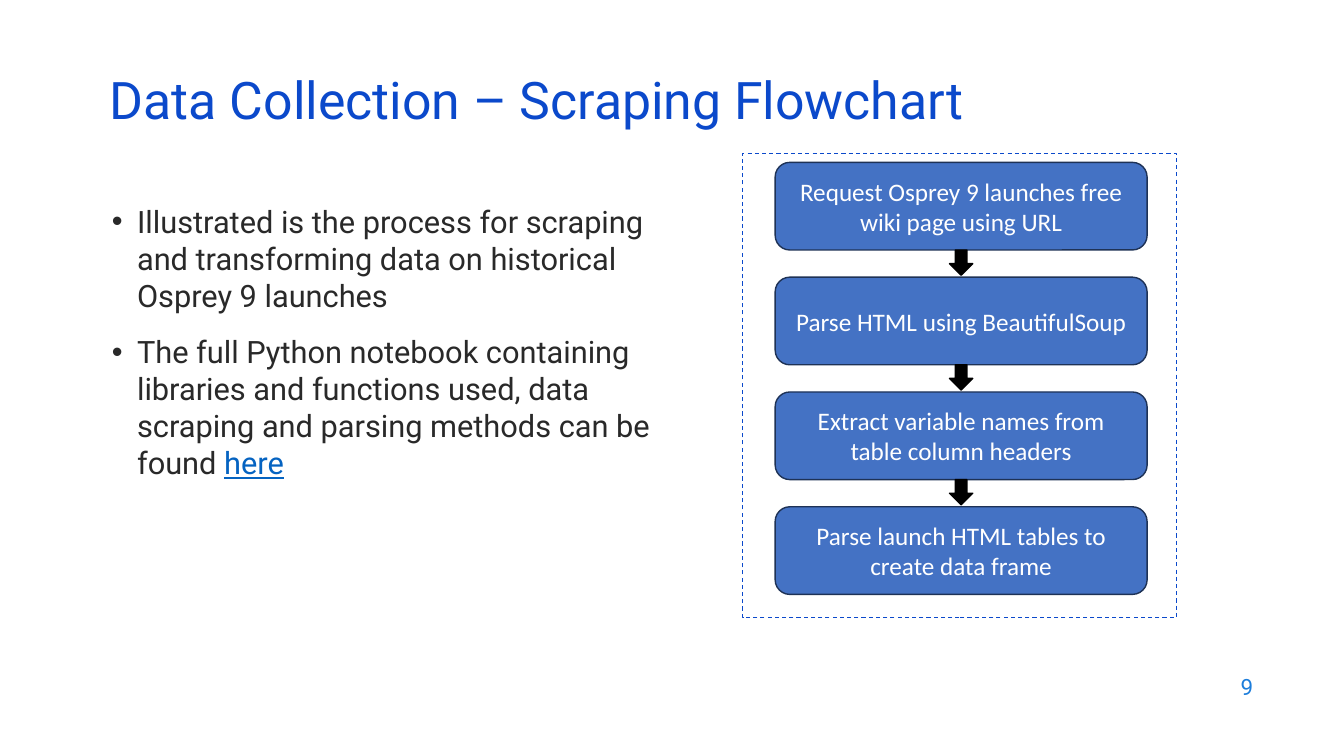
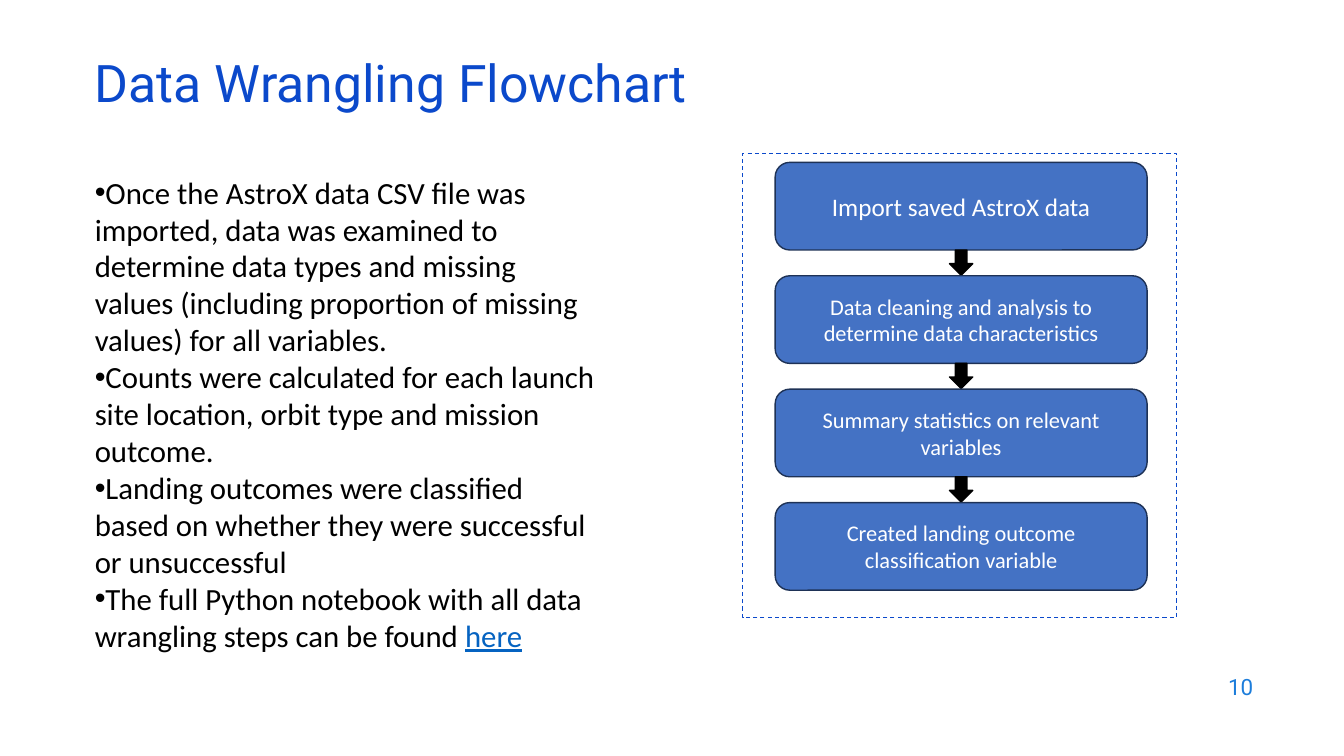
from lxml import etree
from pptx import Presentation
from pptx.dml.color import RGBColor
from pptx.enum.dml import MSO_LINE
from pptx.enum.shapes import MSO_SHAPE
from pptx.enum.text import MSO_ANCHOR, MSO_AUTO_SIZE, PP_ALIGN
from pptx.oxml.ns import qn
from pptx.util import Pt

LEFT, CENTER, RIGHT = PP_ALIGN.LEFT, PP_ALIGN.CENTER, PP_ALIGN.RIGHT
TOP, MIDDLE = MSO_ANCHOR.TOP, MSO_ANCHOR.MIDDLE
NO_AUTOFIT = MSO_AUTO_SIZE.NONE
RECTANGLE, ROUNDED = MSO_SHAPE.RECTANGLE, MSO_SHAPE.ROUNDED_RECTANGLE
DOWN_ARROW, DASH = MSO_SHAPE.DOWN_ARROW, MSO_LINE.DASH

TITLE_BLUE = RGBColor(0x0B, 0x49, 0xCB)
NUMBER_BLUE = RGBColor(0x1C, 0x7D, 0xDB)
LINK_BLUE = RGBColor(0x05, 0x63, 0xC1)
STEP_BLUE = RGBColor(0x44, 0x72, 0xC4)
STEP_EDGE = RGBColor(0x1E, 0x32, 0x56)
DARK_GRAY = RGBColor(0x29, 0x29, 0x29)
BLACK = RGBColor(0, 0, 0)
WHITE = RGBColor(0xFF, 0xFF, 0xFF)

# Flowchart geometry in points
STEP_LEFT, STEP_TOP, STEP_WIDTH, STEP_HEIGHT = 553.7, 116, 265.7, 62.6
ARROW_WIDTH, ARROW_HEIGHT = 16.6, 18
ARROW_LEFT = STEP_LEFT + (STEP_WIDTH - ARROW_WIDTH) / 2

# Each body ends with a link word; each step is (text, font size)
SLIDES = [
    {
        "number": 9,
        "title": "Data Collection – Scraping Flowchart",
        "title_at": (71.3, 54.7),
        "body_box": (72.7, 141.1, 407.5, 300.2),
        "body_font": ("Roboto", DARK_GRAY),
        "indent": 18,
        "gap": 14,
        "bullets": [
            "Illustrated is the process for scraping and transforming data "
            "on historical Osprey 9 launches",
            "The full Python notebook containing libraries and functions used, "
            "data scraping and parsing methods can be found ",
        ],
        "pitch": 82,
        "steps": [
            ("Request Osprey 9 launches free wiki page using URL", 18),
            ("Parse HTML using BeautifulSoup", 18),
            ("Extract variable names from table column headers", 18),
            ("Parse launch HTML tables to create data frame", 18),
        ],
    },
    {
        "number": 10,
        "title": "Data Wrangling Flowchart",
        "title_at": (60.5, 42.5),
        "body_box": (60.5, 120.2, 374.4, 366.5),
        "body_font": ("Calibri", BLACK),
        "indent": 0,
        "gap": 0,
        "bullets": [
            "Once the AstroX data CSV file was imported, data was examined to "
            "determine data types and missing values (including proportion of "
            "missing values) for all variables.",
            "Counts were calculated for each launch site location, orbit type "
            "and mission outcome.",
            "Landing outcomes were classified based on whether they were "
            "successful or unsuccessful",
            "The full Python notebook with all data wrangling steps can be found ",
        ],
        "pitch": 81,
        "steps": [
            ("Import saved AstroX data", 18),
            ("Data cleaning and analysis to determine data characteristics", 16),
            ("Summary statistics on relevant variables", 16),
            ("Created landing outcome classification variable", 16),
        ],
    },
]


def format_paragraph(paragraph, font_name, size, color, alignment):
    paragraph.alignment = alignment
    paragraph.font.name = font_name
    paragraph.font.size = Pt(size)
    paragraph.font.color.rgb = color


def add_box(slide, kind, left, top, width, height, fill, edge, weight):
    shape = slide.shapes.add_shape(kind, Pt(left), Pt(top), Pt(width), Pt(height))
    shape.shadow.inherit = False
    if fill is None:
        shape.fill.background()
    else:
        shape.fill.solid()
        shape.fill.fore_color.rgb = fill
    shape.line.color.rgb = edge
    shape.line.width = Pt(weight)
    return shape


presentation = Presentation()
presentation.slide_width, presentation.slide_height = Pt(960), Pt(540)
content_layout = presentation.slide_layouts[1]

for content in SLIDES:
    slide = presentation.slides.add_slide(content_layout)
    title, body = slide.placeholders

    # Page number
    number = slide.shapes.add_textbox(Pt(686.2), Pt(474.5), Pt(216), Pt(31.7))
    number.text_frame.word_wrap = True
    number.text_frame.vertical_anchor = MIDDLE
    number.text_frame.text = str(content["number"])
    format_paragraph(number.text_frame.paragraphs[0], "Roboto", 16, NUMBER_BLUE, RIGHT)

    # Title
    title.left, title.top = [Pt(length) for length in content["title_at"]]
    title.width, title.height = Pt(828), Pt(43.2)
    title.text_frame.auto_size = NO_AUTOFIT
    title.text_frame.vertical_anchor = MIDDLE
    title.text_frame.text = content["title"]
    paragraph = title.text_frame.paragraphs[0]
    paragraph.line_spacing = 0.7
    format_paragraph(paragraph, "Roboto", 37, TITLE_BLUE, LEFT)

    # Bulleted list, closed by the link word
    body.left, body.top, body.width, body.height = [
        Pt(length) for length in content["body_box"]
    ]
    frame = body.text_frame
    frame.auto_size = NO_AUTOFIT
    frame.vertical_anchor = TOP
    font_name, color = content["body_font"]
    for index, text in enumerate(content["bullets"]):
        paragraph = frame.add_paragraph() if index else frame.paragraphs[0]
        paragraph.text = text
        properties = paragraph._p.get_or_add_pPr()
        properties.set("marL", str(Pt(content["indent"])))
        properties.set("indent", str(-Pt(content["indent"])))
        etree.SubElement(properties, qn("a:buFont"), typeface="Arial")
        etree.SubElement(properties, qn("a:buChar"), char="•")
        paragraph.space_before = Pt(content["gap"] if index else 0)
        format_paragraph(paragraph, font_name, 22, color, LEFT)
    link = paragraph.add_run()
    link.text = "here"
    link.font.color.rgb = LINK_BLUE
    link.font.underline = True

    # Dashed frame around the flowchart
    border = add_box(slide, RECTANGLE, 530.6, 109.4, 309.6, 331.9, None, TITLE_BLUE, 0.75)
    border.line.dash_style = DASH

    # Steps, each followed by an arrow except the last
    for index, (text, size) in enumerate(content["steps"]):
        top = STEP_TOP + index * content["pitch"]
        step = add_box(slide, ROUNDED, STEP_LEFT, top, STEP_WIDTH, STEP_HEIGHT,
                       STEP_BLUE, STEP_EDGE, 1)
        step.text_frame.word_wrap = True
        step.text_frame.vertical_anchor = MIDDLE
        step.text_frame.text = text
        format_paragraph(step.text_frame.paragraphs[0], "Calibri", size, WHITE, CENTER)
        if index < len(content["steps"]) - 1:
            add_box(slide, DOWN_ARROW, ARROW_LEFT, top + STEP_HEIGHT,
                    ARROW_WIDTH, ARROW_HEIGHT, BLACK, BLACK, 1)

presentation.save("out.pptx")
